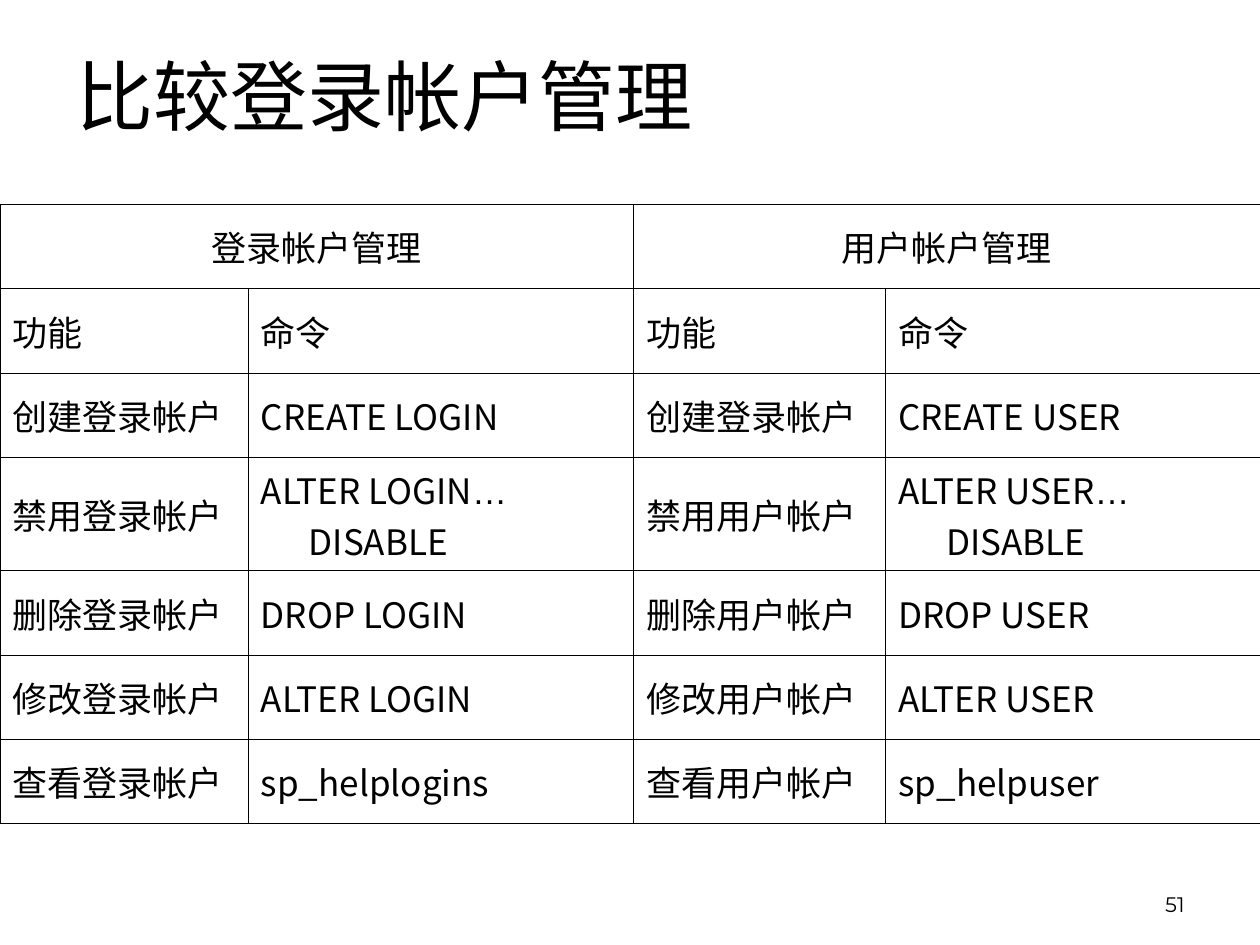
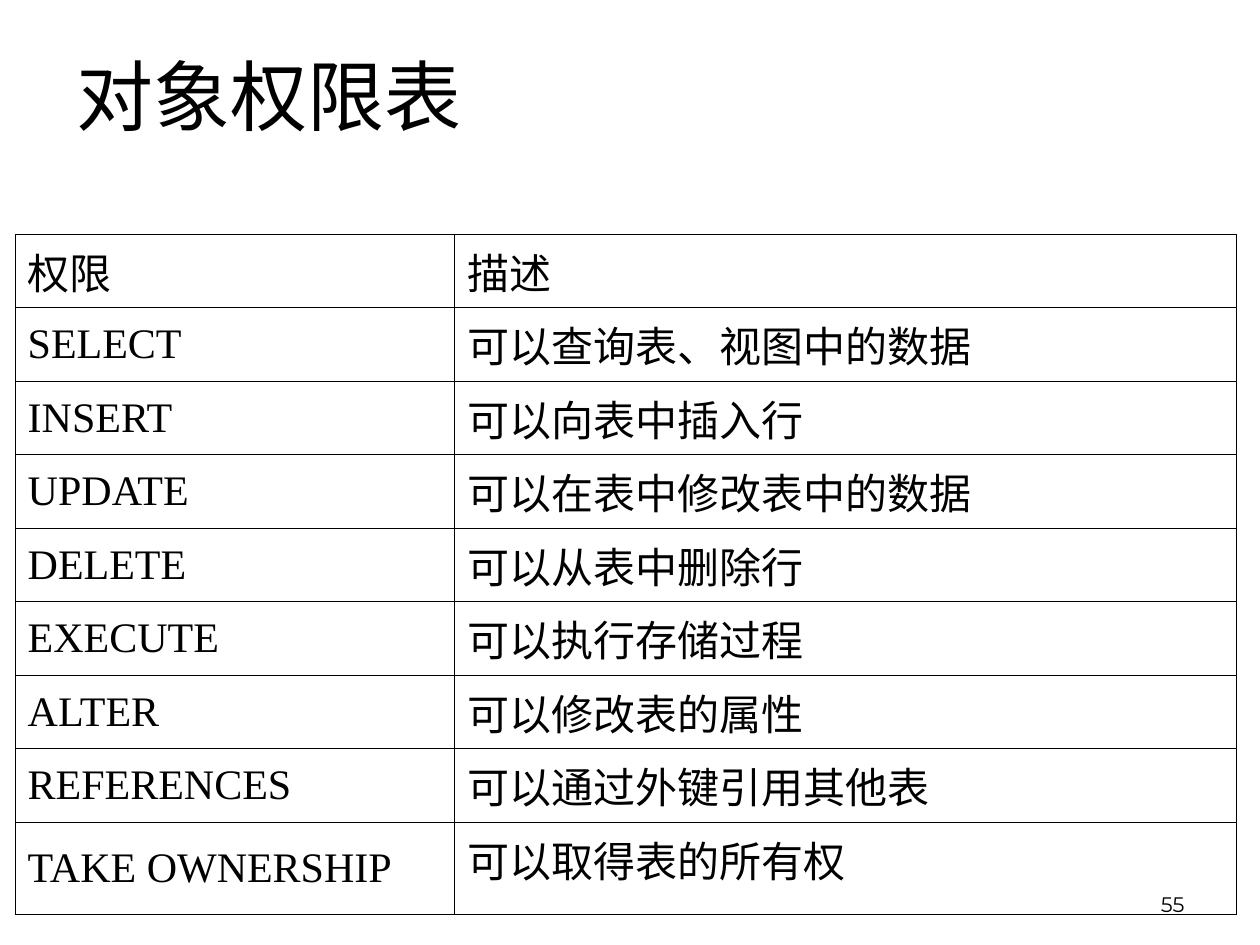
from lxml import etree
from pptx import Presentation
from pptx import util as u
from pptx.dml.color import RGBColor
from pptx.enum import text
from pptx.oxml import ns

BLACK = RGBColor(0, 0, 0)
SLIDE_WIDTH, SLIDE_HEIGHT = u.Inches(10), u.Inches(7.5)
TITLE_FONT, NUMBER_FONT = "Arial", "Montserrat"
CHINESE_FONT, PERMISSION_FONT = "Noto Sans CJK SC", "Times New Roman"
BORDER_WIDTH = u.Pt(0.45)
HANGING_INDENT = u.Inches(0.38)

# Boxes are left, top, width, height as shares of the slide.
TITLE_BOX = (0.051, 0, 0.9, 0.2)
NUMBER_BOX = (0.717, 0.91, 0.233, 0.067)
ACCOUNT_BOX = (0, 0.216, 1, 0.656)
PERMISSION_BOX = (0.012, 0.248, 0.969, 0.72)

ACCOUNT_GROUPS = ["登录帐户管理", "用户帐户管理"]
ACCOUNT_ROWS = [
    ("功能", "命令", "功能", "命令"),
    ("创建登录帐户", "CREATE LOGIN", "创建登录帐户", "CREATE USER"),
    ("禁用登录帐户", "ALTER LOGIN…DISABLE", "禁用用户帐户", "ALTER USER…DISABLE"),
    ("删除登录帐户", "DROP LOGIN", "删除用户帐户", "DROP USER"),
    ("修改登录帐户", "ALTER LOGIN", "修改用户帐户", "ALTER USER"),
    ("查看登录帐户", "sp_helplogins", "查看用户帐户", "sp_helpuser"),
]
PERMISSION_ROWS = [
    ("权限", "描述"),
    ("SELECT", "可以查询表、视图中的数据"),
    ("INSERT", "可以向表中插入行"),
    ("UPDATE", "可以在表中修改表中的数据"),
    ("DELETE", "可以从表中删除行"),
    ("EXECUTE", "可以执行存储过程"),
    ("ALTER", "可以修改表的属性"),
    ("REFERENCES", "可以通过外键引用其他表"),
    ("TAKE OWNERSHIP", "可以取得表的所有权"),
]


def place(box):
    left, top, width, height = box
    return (int(left * SLIDE_WIDTH), int(top * SLIDE_HEIGHT),
            int(width * SLIDE_WIDTH), int(height * SLIDE_HEIGHT))


def style_font(font, name, size):
    font.name, font.size, font.bold = name, u.Pt(size), False
    font.color.rgb = BLACK


def write_paragraph(paragraph, words, font_name, size, alignment):
    paragraph.text = words
    paragraph.alignment = alignment
    style_font(paragraph.font, font_name, size)


def add_titled_slide(presentation, title, number):
    slide = presentation.slides.add_slide(presentation.slide_layouts[5])
    heading = slide.shapes.title
    heading.left, heading.top, heading.width, heading.height = place(TITLE_BOX)
    heading.text_frame.vertical_anchor = text.MSO_ANCHOR.MIDDLE
    write_paragraph(heading.text_frame.paragraphs[0], title, TITLE_FONT, 44,
                    text.PP_ALIGN.LEFT)

    frame = slide.shapes.add_textbox(*place(NUMBER_BOX)).text_frame
    frame.word_wrap = True
    frame.vertical_anchor = text.MSO_ANCHOR.BOTTOM
    write_paragraph(frame.paragraphs[0], str(number), NUMBER_FONT, 12,
                    text.PP_ALIGN.RIGHT)
    return slide


def outline_cell(cell):
    properties = cell._tc.get_or_add_tcPr()
    for position, side in enumerate(("lnL", "lnR", "lnT", "lnB")):
        line = etree.Element(ns.qn(f"a:{side}"), w=str(int(BORDER_WIDTH)))
        fill = etree.SubElement(line, ns.qn("a:solidFill"))
        etree.SubElement(fill, ns.qn("a:srgbClr"), val=str(BLACK))
        properties.insert(position, line)


def add_ruled_table(slide, box, column_shares, row_shares):
    """Add an unfilled table; shares are weights within the box."""
    left, top, width, height = place(box)
    table = slide.shapes.add_table(len(row_shares), len(column_shares),
                                   left, top, width, height).table
    table.first_row = table.horz_banding = False
    for column, share in zip(table.columns, column_shares):
        column.width = int(width * share / sum(column_shares))
    for row, share in zip(table.rows, row_shares):
        row.height = int(height * share / sum(row_shares))
    for cell in table.iter_cells():
        cell.fill.background()
        outline_cell(cell)
    return table


def write_cell(cell, words, font_name, size, alignment=text.PP_ALIGN.LEFT,
               anchor=text.MSO_ANCHOR.MIDDLE):
    cell.vertical_anchor = anchor
    paragraph = cell.text_frame.paragraphs[0]
    properties = paragraph._p.get_or_add_pPr()
    properties.set("marL", str(int(HANGING_INDENT)))
    properties.set("indent", str(-int(HANGING_INDENT)))
    command, ellipsis, option = words.partition("…")
    if not ellipsis:
        write_paragraph(paragraph, words, font_name, size, alignment)
        return
    paragraph.alignment = alignment
    for part, part_font in ((command, font_name), (ellipsis, TITLE_FONT),
                            (option, font_name)):
        run = paragraph.add_run()
        run.text = part
        style_font(run.font, part_font, size)


def build_account_slide(presentation):
    slide = add_titled_slide(presentation, "比较登录帐户管理", 51)
    table = add_ruled_table(slide, ACCOUNT_BOX, (1.97, 3.06, 2, 2.97),
                            (0.67, 0.67, 0.67, 0.9, 0.67, 0.67, 0.67))
    for index, group in enumerate(ACCOUNT_GROUPS):
        header = table.cell(0, 2 * index)
        header.merge(table.cell(0, 2 * index + 1))
        write_cell(header, group, CHINESE_FONT, 20, text.PP_ALIGN.CENTER)
    for row, entries in enumerate(ACCOUNT_ROWS, start=1):
        for column, words in enumerate(entries):
            write_cell(table.cell(row, column), words, CHINESE_FONT, 20)


def build_permission_slide(presentation):
    slide = add_titled_slide(presentation, "对象权限表", 55)
    table = add_ruled_table(slide, PERMISSION_BOX, (3.49, 6.2),
                            [0.58] * 8 + [0.73])
    for row, (permission, description) in enumerate(PERMISSION_ROWS):
        write_cell(table.cell(row, 0), permission, PERMISSION_FONT, 24)
        write_cell(table.cell(row, 1), description, PERMISSION_FONT, 24,
                   anchor=text.MSO_ANCHOR.TOP)


def main():
    presentation = Presentation()
    presentation.slide_width, presentation.slide_height = SLIDE_WIDTH, SLIDE_HEIGHT
    build_account_slide(presentation)
    build_permission_slide(presentation)
    presentation.save("out.pptx")


if __name__ == "__main__":
    main()
